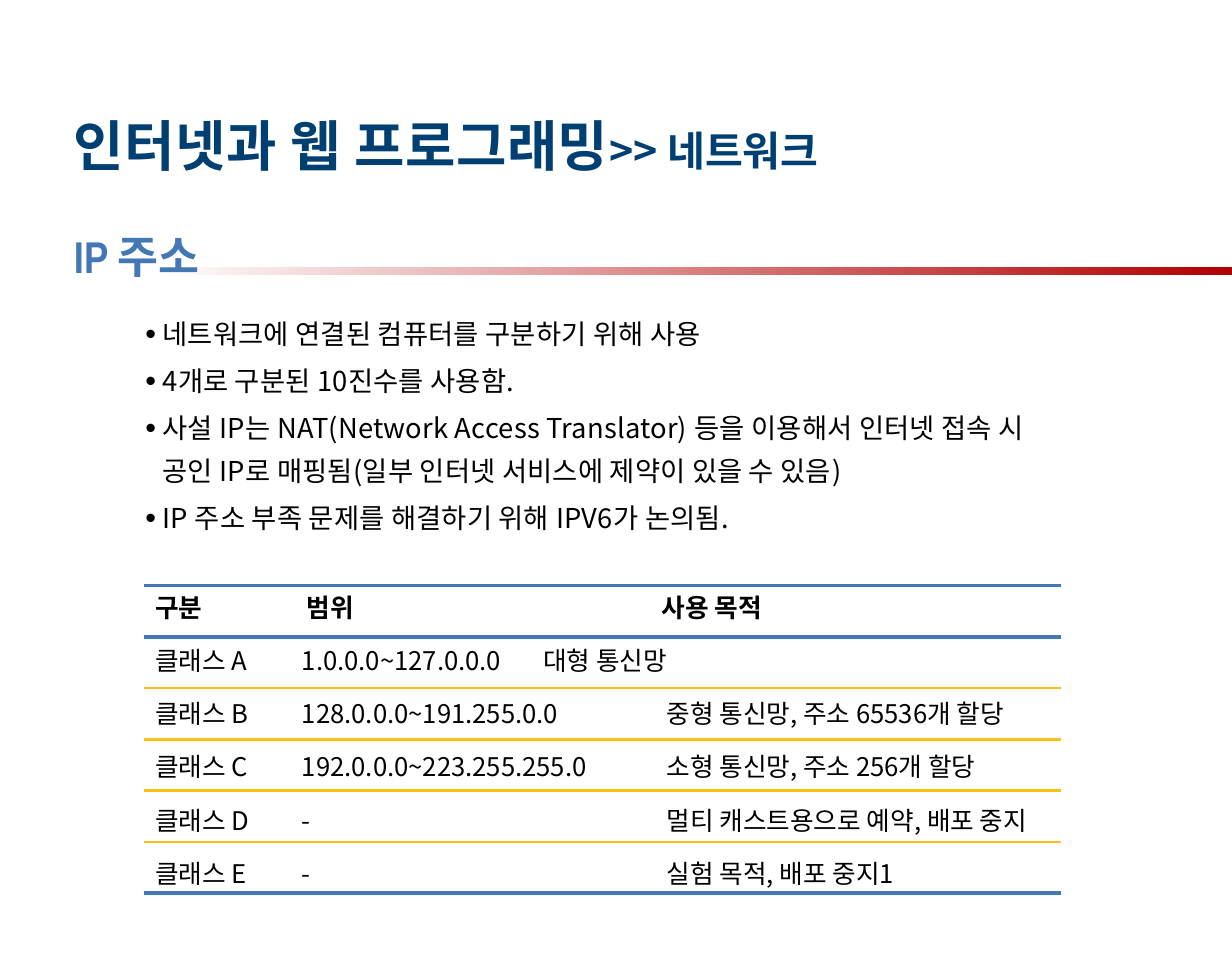
from typing import NamedTuple

from lxml.etree import SubElement
from pptx import Presentation
from pptx.dml.color import RGBColor
from pptx.enum.shapes import MSO_CONNECTOR, MSO_SHAPE
from pptx.oxml.ns import qn
from pptx.util import Emu, Inches, Pt

COLORS = {"navy": "003F71", "blue": "4378B5", "gold": "FDC015",
          "red": "B20000", "white": "FFFFFF", "black": "000000"}
SANS = "Noto Sans CJK KR"
WIDE, HIGH = Inches(10), Inches(7.87)


class Area(NamedTuple):
    """A place in percent of the slide's width and height."""
    left: float
    top: float
    width: float
    height: float

    def box(self) -> tuple:
        return (across(self.left), down(self.top),
                across(self.width), down(self.height))


class Rule(NamedTuple):
    color: str
    points: float


class Row(NamedTuple):
    name: str
    span: str
    use: str


EDGE, INNER = Rule("blue", 2.25), Rule("gold", 1.5)
ROWS = [
    Row("구분", "범위", "사용 목적"),
    Row("클래스 A", "1.0.0.0~127.0.0.0\t대형 통신망", ""),
    Row("클래스 B", "128.0.0.0~191.255.0.0", "중형 통신망, 주소 65536개 할당"),
    Row("클래스 C", "192.0.0.0~223.255.255.0", "소형 통신망, 주소 256개 할당"),
    Row("클래스 D", "-", "멀티 캐스트용으로 예약, 배포 중지"),
    Row("클래스 E", "-", "실험 목적, 배포 중지1"),
]
RULES = [EDGE, EDGE] + [INNER] * (len(ROWS) - 2) + [EDGE]
WIDTHS = (12, 29.6, 32.8)
HEAD_PADS, PADS = (0.9, 1.2, 0.4), (0.9, 0.8, 0.8)
ROW_H = 5.29
GRID = Area(11.7, 60.36, sum(WIDTHS), ROW_H * len(ROWS))
POINTS = [
    "네트워크에 연결된 컴퓨터를 구분하기 위해 사용",
    "4개로 구분된 10진수를 사용함.",
    "사설 IP는 NAT(Network Access Translator) 등을 이용해서 인터넷 접속 시 "
    "공인 IP로 매핑됨(일부 인터넷 서비스에 제약이 있을 수 있음)",
    "IP 주소 부족 문제를 해결하기 위해 IPV6가 논의됨.",
]


def across(share: float) -> Emu:
    return Emu(round(WIDE * share / 100))


def down(share: float) -> Emu:
    return Emu(round(HIGH * share / 100))


def rgb(name: str) -> RGBColor:
    return RGBColor.from_string(COLORS[name])


def write(para, text: str, *, size: float, color: str = "black",
          bold: bool = False, face: str = SANS, track: int = 0) -> None:
    """Add a run; track is the letter spacing in hundredths of a point."""
    run = para.add_run()
    run.text = text
    font = run.font
    font.size, font.bold, font.name = Pt(size), bold, face
    font.color.rgb = rgb(color)
    props = run._r.get_or_add_rPr()
    SubElement(props, qn("a:ea"), typeface=SANS)
    if track:
        props.set("spc", str(track))


def add_frame(slide, area: Area):
    """Add a wrapping text box without insets."""
    frame = slide.shapes.add_textbox(*area.box()).text_frame
    frame.word_wrap = True
    frame.margin_left = frame.margin_right = 0
    frame.margin_top = frame.margin_bottom = 0
    return frame


def add_mark(para, hang: Emu) -> None:
    """Give a paragraph a round bullet with a hanging indent."""
    props = para._p.get_or_add_pPr()
    props.set("marL", str(hang))
    props.set("indent", str(-hang))
    SubElement(props, qn("a:buSzPct"), val="112000")
    SubElement(props, qn("a:buFont"), typeface="Arial")
    SubElement(props, qn("a:buChar"), char="•")


def add_tab(para, place: Emu) -> None:
    stops = SubElement(para._p.get_or_add_pPr(), qn("a:tabLst"))
    SubElement(stops, qn("a:tab"), pos=str(place), algn="l")


def add_rule(slide, rule: Rule, level: float) -> None:
    left, right = across(GRID.left), across(GRID.left + GRID.width)
    line = slide.shapes.add_connector(MSO_CONNECTOR.STRAIGHT, left,
                                      down(level), right, down(level))
    line.line.color.rgb = rgb(rule.color)
    line.line.width = Pt(rule.points)
    SubElement(line._element.spPr, qn("a:effectLst"))


def add_bar(slide) -> None:
    bar = slide.shapes.add_shape(MSO_SHAPE.RECTANGLE,
                                 *Area(12.5, 27.57, 87.5, 0.76).box())
    bar.shadow.inherit = False
    bar.line.fill.background()
    bar.fill.gradient()
    bar.fill.gradient_angle = 0
    for stop, name in zip(bar.fill.gradient_stops, ("white", "red")):
        stop.color.rgb = rgb(name)


def add_heads(slide) -> None:
    title = add_frame(slide, Area(6, 11.5, 88, 8.2)).paragraphs[0]
    write(title, "인터넷과 웹 프로그래밍", size=32, color="navy", bold=True,
          track=30)
    write(title, ">> 네트워크", size=24, color="navy", bold=True)
    head = add_frame(slide, Area(6, 23.59, 40, 6.7)).paragraphs[0]
    write(head, "IP 주소", size=26, color="blue", bold=True,
          face="Arial Narrow")


def add_points(slide) -> None:
    frame = add_frame(slide, Area(11.8, 31.67, 75.5, 23))
    for index, text in enumerate(POINTS):
        para = frame.add_paragraph() if index else frame.paragraphs[0]
        para.line_spacing = Pt(25.1)
        if index:
            para.space_before = Pt(2.4)
        add_mark(para, across(1.4))
        write(para, text, size=16, track=15)


def add_grid(slide) -> None:
    table = slide.shapes.add_table(len(ROWS), len(WIDTHS), *GRID.box()).table
    table.first_row = table.horz_banding = False
    for col, share in zip(table.columns, WIDTHS):
        col.width = across(share)
    for index, row in enumerate(ROWS):
        table.rows[index].height = down(ROW_H)
        pads = PADS if index else HEAD_PADS
        for spot, (text, pad) in enumerate(zip(row, pads)):
            cell = table.cell(index, spot)
            cell.margin_left, cell.margin_right = across(pad), 0
            cell.margin_top = down(0.24 + 0.19 * index)
            cell.margin_bottom = 0
            cell.fill.background()
            para = cell.text_frame.paragraphs[0]
            if "\t" in text:
                add_tab(para, across(19.6))
            if text:
                write(para, text, size=15, bold=index == 0)
        if not row.use:
            table.cell(index, 1).merge(table.cell(index, 2))
    for index, rule in enumerate(RULES):
        add_rule(slide, rule, GRID.top + ROW_H * index)


def main() -> None:
    deck = Presentation()
    deck.slide_width, deck.slide_height = WIDE, HIGH
    slide = deck.slides.add_slide(deck.slide_layouts[6])
    add_grid(slide)
    add_bar(slide)
    add_heads(slide)
    add_points(slide)
    deck.save("out.pptx")


if __name__ == "__main__":
    main()
